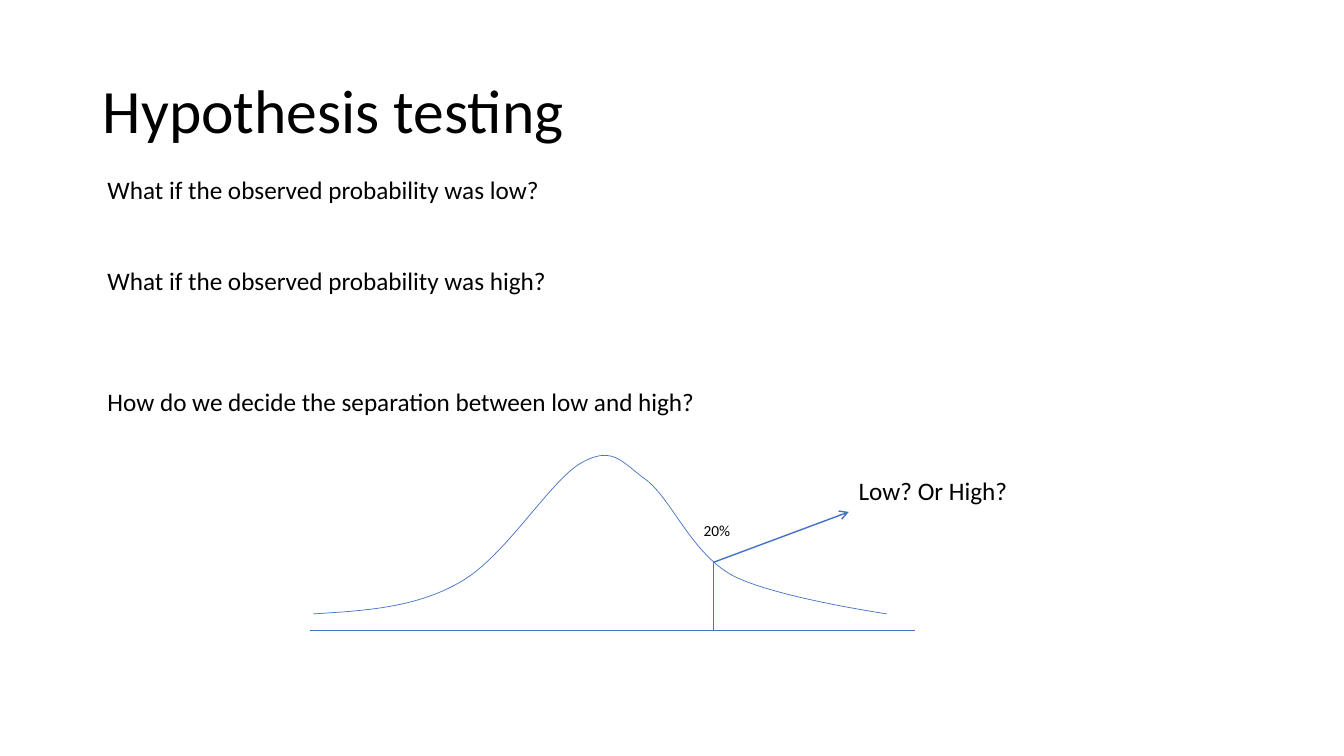
from dataclasses import dataclass

import pptx
import pptx.dml.color
import pptx.enum.shapes
import pptx.enum.text
import pptx.oxml.ns
import pptx.util
from lxml import etree

Cm = pptx.util.Cm
Pt = pptx.util.Pt


@dataclass(frozen=True)
class Theme:
    font: str = "Calibri"
    ink: str = "000000"
    blue: str = "4472C4"
    head: float = 44
    body: float = 18
    small: float = 11
    rule: float = 1
    thin: float = 0.5


THEME = Theme()
ASKS = [
    ("What if the observed probability was low?", 0),
    ("What if the observed probability was high?", 43),
    ("How do we decide the separation between low and high?", 65),
]
START = (7.9, 15.47)
BENDS = [
    ((9.19, 15.39), (10.46, 15.32), (11.58, 14.68)),
    ((12.73, 14.05), (13.87, 12.09), (14.66, 11.66)),
    ((15.44, 11.23), (15.65, 11.63), (16.28, 12.09)),
    ((16.92, 12.57), (17.4, 13.89), (18.42, 14.48)),
    ((19.43, 15.04), (22.35, 15.47), (22.35, 15.47)),
]
STEPS = 24
BASE = 15.88
CUT = (17.98, 14.17)


def paint(color):
    return pptx.dml.color.RGBColor.from_string(color)


def style(para, size):
    para.alignment = pptx.enum.text.PP_ALIGN.LEFT
    for run in para.runs:
        run.font.name = THEME.font
        run.font.size = Pt(size)
        run.font.color.rgb = paint(THEME.ink)


def place(shape, left, top, width, height):
    shape.left, shape.top = Cm(left), Cm(top)
    shape.width, shape.height = Cm(width), Cm(height)


def add_title(slide, text):
    title = slide.shapes.title
    place(title, 2.34, 1.02, 29.21, 3.68)
    frame = title.text_frame
    frame.text = text
    frame.vertical_anchor = pptx.enum.text.MSO_ANCHOR.MIDDLE
    para = frame.paragraphs[0]
    para.line_spacing = 0.9
    style(para, THEME.head)


def add_text(slide, box, items, size):
    shape = slide.shapes.add_textbox(*map(Cm, box))
    frame = shape.text_frame
    frame.word_wrap = True
    frame.auto_size = pptx.enum.text.MSO_AUTO_SIZE.SHAPE_TO_FIT_TEXT
    for index, (text, gap) in enumerate(items):
        para = frame.add_paragraph() if index else frame.paragraphs[0]
        para.text = text
        para.space_before = Pt(gap)
        style(para, size)


def add_line(shapes, start, end, arrow=False):
    kind = pptx.enum.shapes.MSO_CONNECTOR.STRAIGHT
    link = shapes.add_connector(kind, *map(Cm, start + end))
    link.line.color.rgb = paint(THEME.blue)
    link.line.width = Pt(THEME.rule)
    props = link._element.spPr
    etree.SubElement(props, pptx.oxml.ns.qn("a:effectLst"))
    if arrow:
        line = props.find(pptx.oxml.ns.qn("a:ln"))
        etree.SubElement(line, pptx.oxml.ns.qn("a:tailEnd"), type="arrow")


def bend(start, first, second, end):
    for step in range(1, STEPS + 1):
        t = step / STEPS
        u = 1 - t
        parts = (u**3, 3 * u * u * t, 3 * u * t * t, t**3)
        yield tuple(
            Cm(sum(part * spot for part, spot in zip(parts, axis)))
            for axis in zip(start, first, second, end)
        )


def add_curve(shapes, start, bends):
    pen = shapes.build_freeform(Cm(start[0]), Cm(start[1]))
    for curve in bends:
        pen.add_line_segments(list(bend(start, *curve)), close=False)
        start = curve[-1]
    bell = pen.convert_to_shape()
    bell.shadow.inherit = False
    bell.fill.background()
    bell.line.color.rgb = paint(THEME.blue)
    bell.line.width = Pt(THEME.thin)


def main():
    deck = pptx.Presentation()
    deck.slide_width, deck.slide_height = Cm(33.87), Cm(19.05)
    slide = deck.slides.add_slide(deck.slide_layouts[5])
    add_title(slide, "Hypothesis testing")
    add_text(slide, (2.46, 4.27, 23.5, 6.4), ASKS, THEME.body)
    plot = slide.shapes.add_group_shape().shapes
    add_line(plot, (7.82, BASE), (23.06, BASE))
    add_curve(plot, START, BENDS)
    add_line(slide.shapes, CUT, (CUT[0], BASE))
    add_line(slide.shapes, CUT, (21.39, 12.9), arrow=True)
    add_text(slide, (21.39, 11.86, 6.35, 1.02), [("Low? Or High?", 0)], THEME.body)
    add_text(slide, (17.48, 13, 1.57, 0.74), [("20%", 0)], THEME.small)
    deck.save("out.pptx")


if __name__ == "__main__":
    main()
